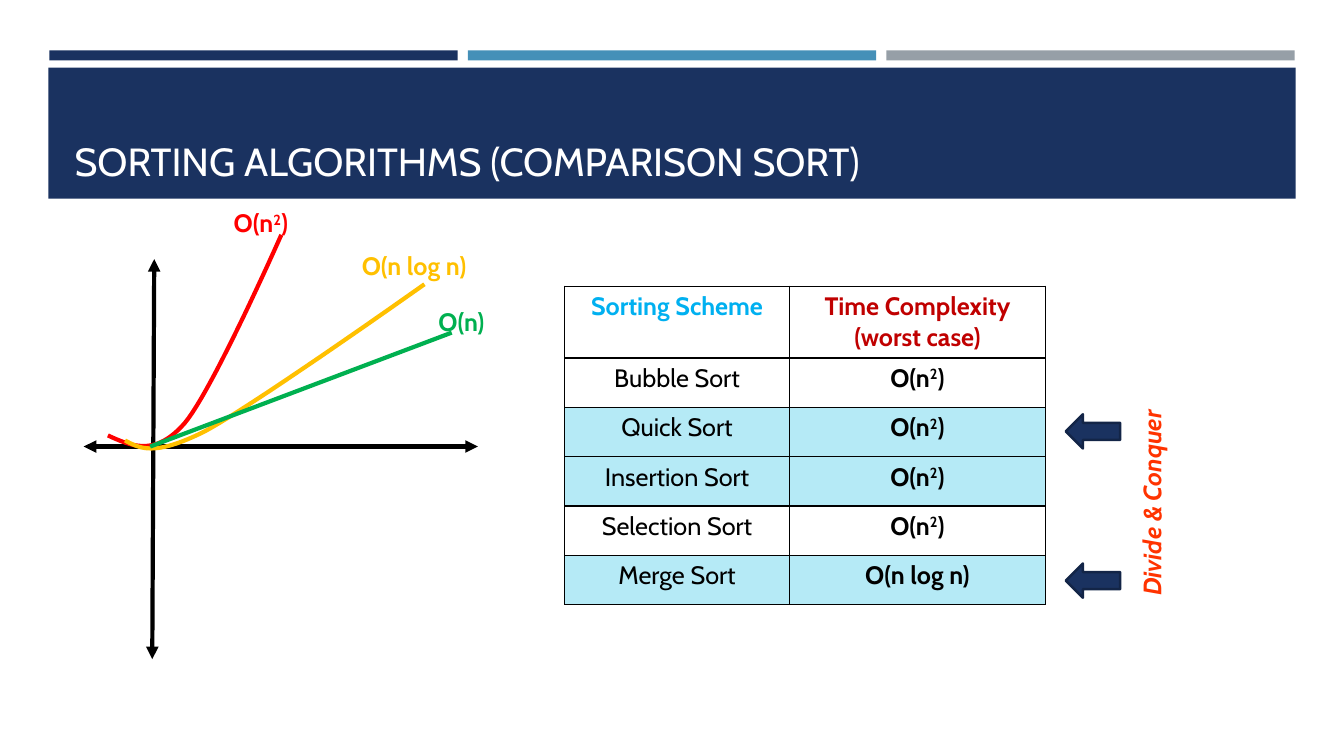
from dataclasses import dataclass

from lxml.etree import SubElement
from pptx import Presentation
from pptx.dml.color import RGBColor
from pptx.enum.shapes import MSO_CONNECTOR, MSO_SHAPE
from pptx.enum.text import MSO_ANCHOR, MSO_AUTO_SIZE, PP_ALIGN
from pptx.oxml.ns import qn
from pptx.util import Inches, Pt


@dataclass(frozen=True)
class Theme:
    """Colours, type sizes and line widths of the slide."""
    font: str = "Cabin"
    title: int = 28
    body: int = 18
    axis: float = 3
    edge: float = 1.75
    border: int = 12700
    navy: str = "1A3260"
    navy_edge: str = "132547"
    blue: str = "4590B8"
    grey: str = "969FA7"
    white: str = "FFFFFF"
    black: str = "000000"
    sky: str = "00B0F0"
    crimson: str = "C00000"
    pale: str = "B5EAF6"
    red: str = "FF0000"
    amber: str = "FFC000"
    green: str = "00B050"
    orange: str = "FF3300"


@dataclass(frozen=True)
class Box:
    """A region of the slide in inches."""
    x: float
    y: float
    w: float
    h: float

    def inside(self, dx, dy, w, h):
        """Return a box offset from this one's top left corner."""
        return Box(self.x + dx, self.y + dy, w, h)

    def emu(self):
        """Return left, top, width and height as lengths."""
        return [Inches(v) for v in (self.x, self.y, self.w, self.h)]


T = Theme()
SQUARED = "O(n^2^)"


def rgb(code):
    """Turn a hex code into a colour."""
    return RGBColor.from_string(code)


def write(p, text, color, size=T.body, bold=False, italic=False):
    """Fill a paragraph, raising the parts set between carets."""
    f = p.font
    f.name, f.size, f.bold, f.italic = T.font, Pt(size), bold, italic
    f.color.rgb = rgb(color)
    for i, part in enumerate(text.split("^")):
        r = p.add_run()
        r.text = part
        if i % 2:
            r.font._element.set("baseline", "30000")


def add_preset(s, kind, box, fill, edge=None):
    """Add a filled preset shape with an optional outline."""
    sp = s.shapes.add_shape(kind, *box.emu())
    sp.shadow.inherit = False
    sp.fill.solid()
    sp.fill.fore_color.rgb = rgb(fill)
    if edge:
        sp.line.color.rgb = rgb(edge)
        sp.line.width = Pt(T.edge)
    else:
        sp.line.fill.background()


def add_label(s, box, text, color, italic=False, vert=None):
    """Add a bold one-line label, turned when vert is given."""
    tf = s.shapes.add_textbox(*box.emu()).text_frame
    tf.word_wrap = False
    tf.auto_size = MSO_AUTO_SIZE.SHAPE_TO_FIT_TEXT
    if vert:
        tf._txBody.bodyPr.set("vert", vert)
    write(tf.paragraphs[0], text, color, bold=True, italic=italic)


def add_line(s, start, end, color, arrows=False):
    """Add a straight line, with arrowheads at both ends if asked."""
    ends = [Inches(v) for v in (*start, *end)]
    cn = s.shapes.add_connector(MSO_CONNECTOR.STRAIGHT, *ends)
    cn.line.color.rgb = rgb(color)
    cn.line.width = Pt(T.axis)
    if arrows:
        for tag in ("a:headEnd", "a:tailEnd"):
            SubElement(cn.line._get_or_add_ln(), qn(tag)).set("type", "triangle")
    SubElement(cn._element.spPr, qn("a:effectLst"))


def bezier(p0, p1, p2, p3, steps=24):
    """Return points along a cubic curve, without its start."""
    ts = [i / steps for i in range(1, steps + 1)]
    return [tuple((1 - t) ** 3 * a + 3 * (1 - t) ** 2 * t * b
                  + 3 * (1 - t) * t ** 2 * c + t ** 3 * d
                  for a, b, c, d in zip(p0, p1, p2, p3)) for t in ts]


def add_curve(s, knots, color):
    """Draw two joined cubic curves through seven knots."""
    pts = bezier(*knots[:4]) + bezier(*knots[3:])
    fb = s.shapes.build_freeform(*[Inches(v) for v in knots[0]])
    fb.add_line_segments([(Inches(x), Inches(y)) for x, y in pts], close=False)
    sp = fb.convert_to_shape()
    sp.shadow.inherit = False
    sp.fill.background()
    sp.line.color.rgb = rgb(color)
    sp.line.width = Pt(T.axis)


def header(s, box):
    """Place the three strips, the banner and the title."""
    for i, color in enumerate((T.navy, T.blue, T.grey)):
        add_preset(s, MSO_SHAPE.RECTANGLE, box.inside(0.01 + i * 4.15, 0, 4.05, 0.1), color)
    add_preset(s, MSO_SHAPE.RECTANGLE, box.inside(0, 0.17, box.w, 1.3), T.navy)
    title = s.shapes.title
    title.left, title.top, title.width, title.height = box.inside(0.16, 0.27, 12.06, 1.11).emu()
    s.shapes._spTree.append(title._element)
    tf = title.text_frame
    tf.vertical_anchor = MSO_ANCHOR.BOTTOM
    tf.auto_size = MSO_AUTO_SIZE.NONE
    p = tf.paragraphs[0]
    p.alignment = PP_ALIGN.LEFT
    write(p, "SORTING ALGORITHMS (COMPARISON SORT)", T.white, T.title)


def fill_cell(cell, lines, color, bold, fill):
    """Write centred lines into a cell with black borders."""
    for i, line in enumerate(lines):
        p = cell.text_frame.paragraphs[0] if i == 0 else cell.text_frame.add_paragraph()
        p.alignment = PP_ALIGN.CENTER
        write(p, line, color, bold=bold)
    tcPr = cell._tc.get_or_add_tcPr()
    for side in ("a:lnL", "a:lnR", "a:lnT", "a:lnB"):
        ln = SubElement(tcPr, qn(side), w=str(T.border))
        SubElement(SubElement(ln, qn("a:solidFill")), qn("a:srgbClr"), val=T.black)
    if fill:
        cell.fill.solid()
        cell.fill.fore_color.rgb = rgb(fill)
    else:
        cell.fill.background()


def complexity_table(s, box):
    """Place the table of sorting schemes and their worst cases."""
    rows = [("Bubble Sort", SQUARED, None), ("Quick Sort", SQUARED, T.pale),
            ("Insertion Sort", SQUARED, T.pale), ("Selection Sort", SQUARED, None),
            ("Merge Sort", "O(n log n)", T.pale)]
    tbl = s.shapes.add_table(len(rows) + 1, 2, *box.emu()).table
    tbl.first_row = tbl.horz_banding = False
    for col, w in zip(tbl.columns, (2.23, 2.54)):
        col.width = Inches(w)
    for i, row in enumerate(tbl.rows):
        row.height = Inches(0.49 if i else 0.71)
    fill_cell(tbl.cell(0, 0), ["Sorting Scheme"], T.sky, True, None)
    fill_cell(tbl.cell(0, 1), ["Time Complexity", "(worst case)"], T.crimson, True, None)
    for i, (scheme, cost, fill) in enumerate(rows, 1):
        fill_cell(tbl.cell(i, 0), [scheme], T.black, False, fill)
        fill_cell(tbl.cell(i, 1), [cost], T.black, True, fill)


def growth_graph(s, box):
    """Place the axes, the three growth curves and their labels."""
    def at(x, y):
        return box.x + x, box.y + y

    add_line(s, at(0, 2.42), at(3.91, 2.42), T.black, arrows=True)
    add_line(s, at(0.7, 0.56), at(0.68, 4.53), T.black, arrows=True)
    quadratic = [(0.24, 2.31), (0.48, 2.42), (0.71, 2.52), (1, 2.19),
                 (1.28, 1.86), (1.96, 0.32), (1.96, 0.32)]
    log_linear = [(0.41, 2.36), (0.56, 2.44), (0.7, 2.52), (1.2, 2.27),
                  (1.69, 2.01), (3.38, 0.81), (3.38, 0.81)]
    for knots, color in ((quadratic, T.red), (log_linear, T.amber)):
        add_curve(s, [at(*k) for k in knots], color)
    add_line(s, at(0.66, 2.42), at(3.65, 1.29), T.green)
    for dx, dy, w, text, color in ((1.39, 0, 0.86, SQUARED, T.red),
                                   (2.66, 0.42, 1.38, "O(n log n)", T.amber),
                                   (3.42, 0.98, 0.76, "O(n)", T.green)):
        add_label(s, box.inside(dx, dy, w, 0.4), text, color)


def divide_and_conquer(s, box):
    """Place the two row pointers and the turned label."""
    for dy in (0.18, 1.66):
        add_preset(s, MSO_SHAPE.LEFT_ARROW, box.inside(0, dy, 0.54, 0.34), T.navy, T.navy_edge)
    add_label(s, box.inside(0.65, 0, 0.5, box.h), "Divide & Conquer", T.orange,
              italic=True, vert="vert270")


def main():
    """Build and save the slide."""
    prs = Presentation()
    prs.slide_width, prs.slide_height = Inches(13.33), Inches(7.5)
    s = prs.slides.add_slide(prs.slide_layouts[5])
    header(s, Box(0.48, 0.5, 12.37, 1.47))
    complexity_table(s, Box(5.6, 2.84, 4.77, 3.16))
    growth_graph(s, Box(0.83, 2.01, 4.18, 4.53))
    divide_and_conquer(s, Box(10.57, 3.93, 1.15, 2.08))
    prs.save("out.pptx")


if __name__ == "__main__":
    main()
